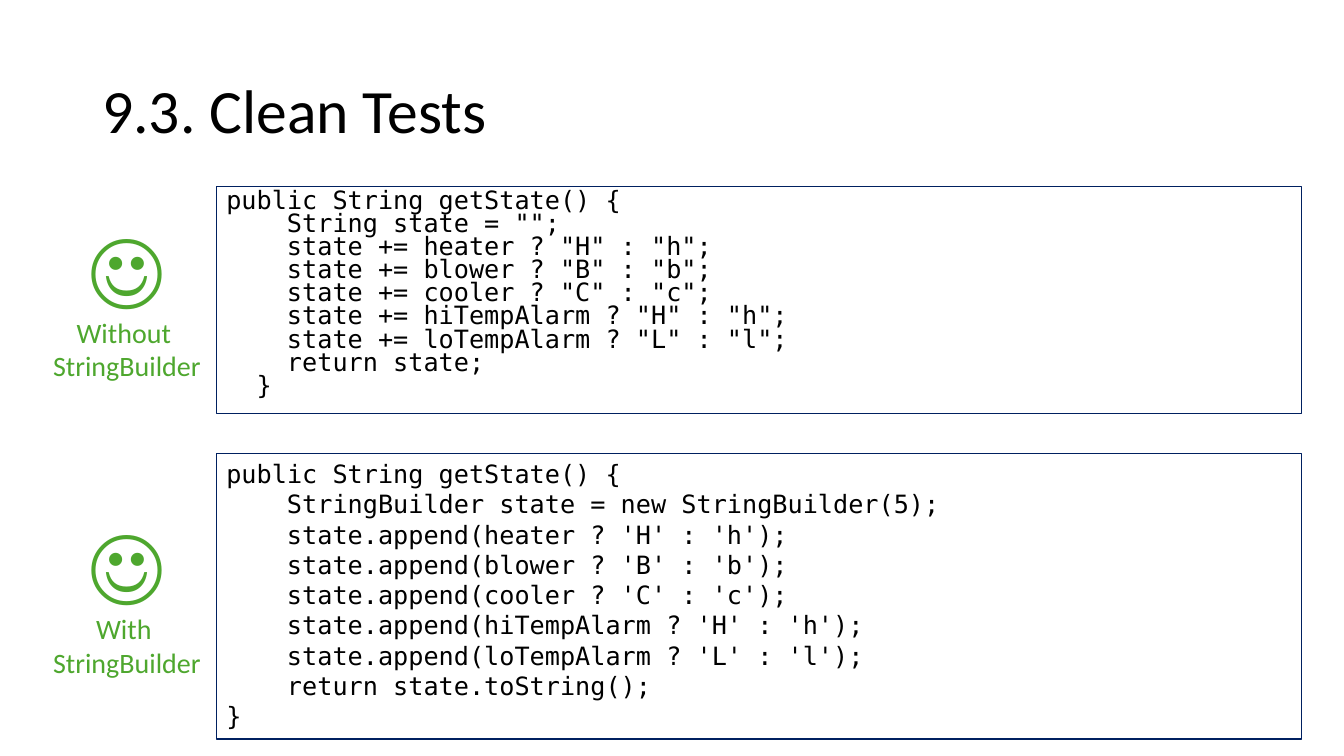
from dataclasses import dataclass

from pptx import Presentation
from pptx.dml.color import RGBColor
from pptx.enum import shapes, text
from pptx.util import Pt

SANS = "Calibri"
MONO = "DejaVu Sans Mono"
BLACK, NAVY, GREEN = "000000", "002060", "4EA72E"
CODE_SIZE = 18
CHARACTER_WIDTH = 0.602 * CODE_SIZE


@dataclass(frozen=True)
class Frame:
    left: float
    top: float
    width: float
    height: float

    def lengths(self) -> tuple:
        return Pt(self.left), Pt(self.top), Pt(self.width), Pt(self.height)


@dataclass(frozen=True)
class Example:
    label: str
    label_top: float
    code_top: float
    code_height: float
    line_pitch: float | None
    code: str


EXAMPLES = [
    Example("Without ", 149.6, 133.2, 162, 16.5, '''public String getState() {
    String state = "";
    state += heater ? "H" : "h";
    state += blower ? "B" : "b";
    state += cooler ? "C" : "c";
    state += hiTempAlarm ? "H" : "h";
    state += loTempAlarm ? "L" : "l";
    return state;
  }'''),
    Example("With ", 361.4, 324, 203.8, None, '''public String getState() {
    StringBuilder state = new StringBuilder(5);
    state.append(heater ? 'H' : 'h');
    state.append(blower ? 'B' : 'b');
    state.append(cooler ? 'C' : 'c');
    state.append(hiTempAlarm ? 'H' : 'h');
    state.append(loTempAlarm ? 'L' : 'l');
    return state.toString();
}'''),
]


def color(value: str) -> RGBColor:
    return RGBColor.from_string(value)


def add_paragraph(frame, index: int, words: str, size: float, font: str, fill: str):
    para = frame.paragraphs[0] if index == 0 else frame.add_paragraph()
    para.text = words
    para.font.size = Pt(size)
    para.font.name = font
    para.font.color.rgb = color(fill)
    return para


def add_title(page, words: str) -> None:
    box = page.shapes.add_textbox(*Frame(66, 28.8, 828, 104.4).lengths())
    box.text_frame.word_wrap = True
    box.text_frame.vertical_anchor = text.MSO_ANCHOR.MIDDLE
    para = add_paragraph(box.text_frame, 0, words, 44, SANS, BLACK)
    para.line_spacing = 0.9


def add_code(page, example: Example) -> None:
    place = Frame(154.6, example.code_top, 775, example.code_height)
    box = page.shapes.add_shape(shapes.MSO_SHAPE.RECTANGLE, *place.lengths())
    box.shadow.inherit = False
    box.fill.background()
    box.line.color.rgb = color(NAVY)
    box.line.width = Pt(1)
    frame = box.text_frame
    frame.word_wrap = True
    frame.vertical_anchor = text.MSO_ANCHOR.TOP
    for index, line in enumerate(example.code.splitlines()):
        words = line.lstrip()
        para = add_paragraph(frame, index, words, CODE_SIZE, MONO, BLACK)
        para.alignment = text.PP_ALIGN.LEFT
        indent = Pt((len(line) - len(words)) * CHARACTER_WIDTH)
        para._p.get_or_add_pPr().set("marL", str(indent))
        if example.line_pitch:
            para.line_spacing = Pt(example.line_pitch)


def add_label(page, example: Example) -> None:
    place = Frame(30.2, example.label_top, 121, 128.2)
    box = page.shapes.add_textbox(*place.lengths())
    box.text_frame.word_wrap = False
    lines = [("☺", 60), (example.label, 20), ("StringBuilder", 20)]
    for index, (words, size) in enumerate(lines):
        para = add_paragraph(box.text_frame, index, words, size, SANS, GREEN)
        para.alignment = text.PP_ALIGN.CENTER


def main() -> None:
    deck = Presentation()
    deck.slide_width, deck.slide_height = Pt(960), Pt(540)
    page = deck.slides.add_slide(deck.slide_layouts[6])
    add_title(page, "9.3. Clean Tests")
    for example in EXAMPLES:
        add_code(page, example)
        add_label(page, example)
    deck.save("out.pptx")


if __name__ == "__main__":
    main()
